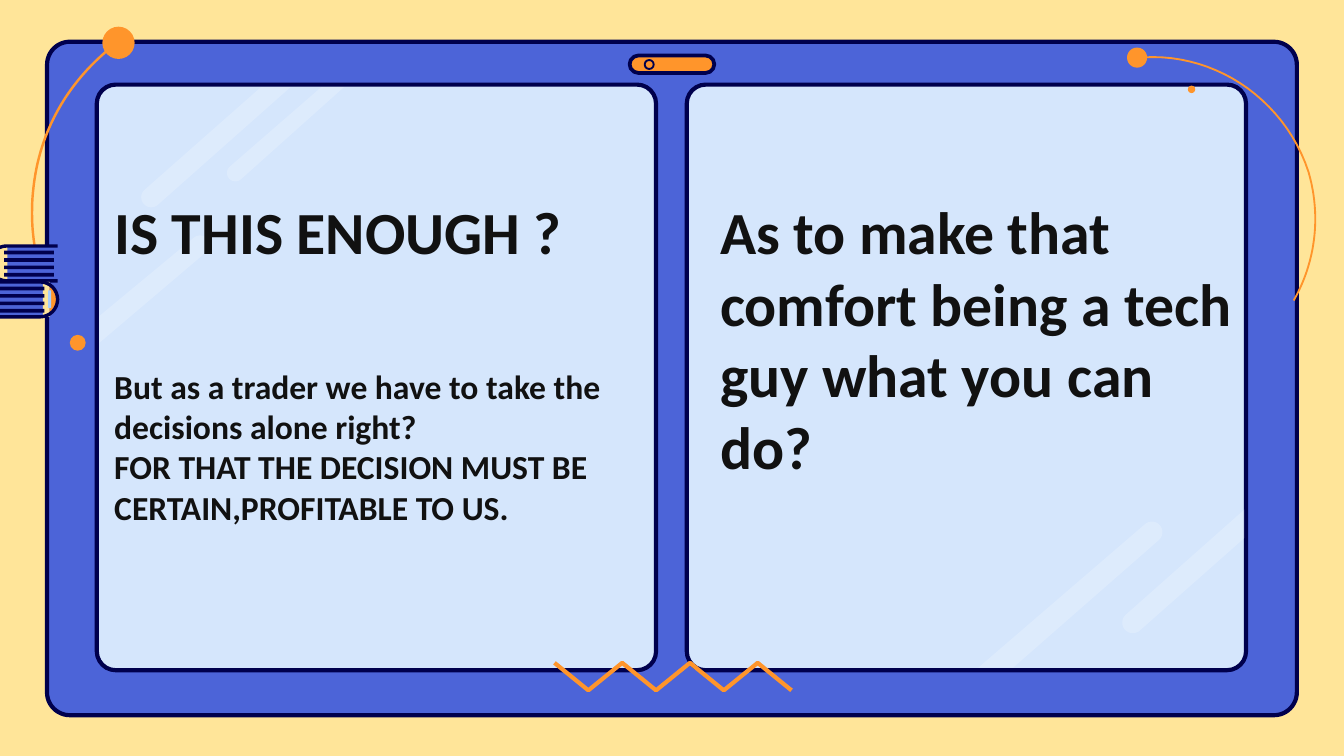
from dataclasses import dataclass
from math import atan2, cos, pi, sin
from typing import NamedTuple, Optional

from lxml.etree import SubElement
from pptx import Presentation
from pptx.dml.color import RGBColor as RGB
from pptx.enum.shapes import MSO_SHAPE as Shape
from pptx.enum.text import MSO_AUTO_SIZE as AutoSize
from pptx.oxml.ns import qn
from pptx.util import Cm, Pt


@dataclass(frozen=True)
class Theme:
    cream: str = "FFE599"
    blue: str = "4C64D8"
    navy: str = "00004D"
    ice: str = "D5E6FC"
    sky: str = "A8CFFF"
    orange: str = "FF952B"
    white: str = "FFFFFF"
    ink: str = "111111"
    font: str = "Calibri"
    title: int = 32
    body: int = 18


class Point(NamedTuple):
    x: float
    y: float


class Style(NamedTuple):
    fill: Optional[str] = None
    line: Optional[str] = None
    width: float = 0
    alpha: int = 100


class Dot(NamedTuple):
    centre: Point
    size: float
    style: Style


class Streak(NamedTuple):
    """A light reflection: a round end, and two corners on the panel edge."""
    tip: Point
    radius: float
    cut: tuple[Point, Point]


class Book(NamedTuple):
    spine: Point      # centre of the rounded end
    facing: int       # 1 when the round end points right, -1 when left
    block: float      # open end of the filled body
    cover: float      # open end of the cover outline
    pages: float      # left edge of the cream strip
    page_width: float
    bars: float       # left edge of the dark bars


class Line(NamedTuple):
    text: str
    size: int
    before: float = 0


T = Theme()
FRAME = Style(T.blue, T.navy, 2.25)
PANEL = Style(T.ice, T.navy, 2.25)
ORANGE = Style(T.orange)
GLASS = Style(T.white, alpha=20)

PANELS_X = (12.98, 1.83)
STREAKS = (
    Streak(Point(21.77, 10.06), 0.2, (Point(19.15, 12.62), Point(18.49, 12.62))),
    Streak(Point(21.41, 11.77), 0.2, (Point(23.52, 9.63), Point(23.52, 10.17))),
    Streak(Point(2.86, 3.73), 0.19, (Point(4.93, 1.65), Point(5.49, 1.65))),
    Streak(Point(4.45, 3.27), 0.16, (Point(6.07, 1.65), Point(6.5, 1.65))),
    Streak(Point(3.78, 4.63), 0.18, (Point(1.88, 6.48), Point(1.88, 5.97))),
)
DOTS = (
    Dot(Point(12.27, 1.22), 0.17, Style(None, T.navy, 1)),
    Dot(Point(2.24, 0.81), 0.61, ORANGE),
    Dot(Point(1.47, 6.48), 0.3, ORANGE),
    Dot(Point(21.49, 1.09), 0.38, ORANGE),
    Dot(Point(22.52, 1.69), 0.14, ORANGE),
)
# Each arc is two joined cubic curves: start, then two controls and an end twice
ARCS = (
    (1.3, ((0.99, 5.74), (0.66, 5.03), (0.53, 4.24), (0.65, 3.42),
           (0.81, 2.27), (1.46, 1.33), (2.34, 0.72))),
    (1, ((21.44, 1.1), (22.86, 0.93), (24.26, 1.82), (24.73, 3.25),
         (24.98, 4.11), (24.85, 4.98), (24.45, 5.68))),
)
BOOKS = (
    Book(Point(0.13, 4.98), -1, 1.02, 1.09, -0.03, 0.17, 0.08),
    Book(Point(0.76, 5.66), 1, -0.1, -0.2, 0.81, 0.13, -0.1),
)
BOOK_RADIUS = 0.33


def paint(s, style: Style) -> None:
    s.shadow.inherit = False
    if style.fill:
        s.fill.solid()
        s.fill.fore_color.rgb = RGB.from_string(style.fill)
        if style.alpha < 100:
            clr = s._element.spPr.find(f"{qn('a:solidFill')}/{qn('a:srgbClr')}")
            SubElement(clr, qn("a:alpha"), val=str(style.alpha * 1000))
    else:
        s.fill.background()
    if style.line:
        s.line.color.rgb = RGB.from_string(style.line)
        s.line.width = Pt(style.width)
    else:
        s.line.fill.background()


def preset(shapes, kind, x: float, y: float, w: float, h: float, style: Style,
           corner: Optional[float] = None) -> None:
    s = shapes.add_shape(kind, Cm(x), Cm(y), Cm(w), Cm(h))
    if corner is not None:
        s.adjustments[0] = corner
    paint(s, style)


def outline(shapes, points: list, style: Style, close: bool = True) -> None:
    start, *rest = [(Cm(x), Cm(y)) for x, y in points]
    fb = shapes.build_freeform(*start)
    fb.add_line_segments(rest, close=close)
    paint(fb.convert_to_shape(), style)


def half_circle(c: Point, r: float, start: float, sweep: float) -> list[Point]:
    angles = [start + sweep * i / 16 for i in range(17)]
    return [Point(c.x + r * cos(a), c.y + r * sin(a)) for a in angles]


def bezier(p0, p1, p2, p3, steps: int = 24) -> list[Point]:
    def at(t: float) -> Point:
        k = ((1 - t) ** 3, 3 * t * (1 - t) ** 2, 3 * t * t * (1 - t), t ** 3)
        return Point(*(sum(f * v for f, v in zip(k, vs)) for vs in zip(p0, p1, p2, p3)))
    return [at(i / steps) for i in range(steps + 1)]


def streak(shapes, st: Streak) -> None:
    a, b = st.cut
    heading = atan2(st.tip.y - (a.y + b.y) / 2, st.tip.x - (a.x + b.x) / 2)
    end = half_circle(st.tip, st.radius, heading + pi / 2, -pi)
    outline(shapes, [a, *end, b], GLASS)


def book(shapes, b: Book) -> None:
    top, r = b.spine.y - BOOK_RADIUS, BOOK_RADIUS
    end = half_circle(b.spine, r, -pi / 2, b.facing * pi)

    def profile(x: float) -> list[Point]:
        return [Point(x, top), *end, Point(x, top + 2 * r)]

    outline(shapes, profile(b.block), Style(T.blue))
    preset(shapes, Shape.RECTANGLE, b.pages, top, b.page_width, 2 * r, Style(T.cream))
    if b.facing > 0:
        edge = [(0.94, 5.36), (0.94, 5.97), (1.07, 5.79), (1.09, 5.61), (1.02, 5.44)]
        outline(shapes, edge, ORANGE)
        preset(shapes, Shape.RECTANGLE, 0.91, 5.49, 0.06, 0.33, Style(T.sky))
    for i in range(4):
        preset(shapes, Shape.RECTANGLE, b.bars, b.spine.y - 0.24 + 0.14 * i,
               0.94, 0.07, Style(T.navy))
    outline(shapes, profile(b.cover), Style(None, T.navy, 1.8), close=False)


def text(shapes, x: float, y: float, w: float, h: float, lines: list[Line]) -> None:
    tf = shapes.add_textbox(Cm(x), Cm(y), Cm(w), Cm(h)).text_frame
    tf.word_wrap, tf.auto_size = True, AutoSize.SHAPE_TO_FIT_TEXT
    for i, line in enumerate(lines):
        p = tf.add_paragraph() if i else tf.paragraphs[0]
        if line.before:
            p.space_before = Pt(line.before)
        r = p.add_run()
        r.text = line.text
        for key, value in {"name": T.font, "size": Pt(line.size), "bold": True}.items():
            setattr(r.font, key, value)
        r.font.color.rgb = RGB.from_string(T.ink)


def main() -> None:
    prs = Presentation()
    prs.slide_width, prs.slide_height = Cm(25.4), Cm(14.29)
    slide = prs.slides.add_slide(prs.slide_layouts[6])
    slide.background.fill.solid()
    slide.background.fill.fore_color.rgb = RGB.from_string(T.cream)
    shapes = slide.shapes

    # Tablet frame, two screens and their reflections
    preset(shapes, Shape.ROUNDED_RECTANGLE, 0.89, 0.79, 23.62, 12.73, FRAME, 0.034)
    for x in PANELS_X:
        preset(shapes, Shape.ROUNDED_RECTANGLE, x, 1.6, 10.57, 11.07, PANEL, 0.034)
    for st in STREAKS:
        streak(shapes, st)

    # Camera pill, dots, arcs and zigzag
    preset(shapes, Shape.ROUNDED_RECTANGLE, 11.9, 1.05, 1.6, 0.33,
           Style(T.orange, T.navy, 2), 0.5)
    for dot in DOTS:
        preset(shapes, Shape.OVAL, dot.centre.x - dot.size / 2,
               dot.centre.y - dot.size / 2, dot.size, dot.size, dot.style)
    for width, c in ARCS:
        outline(shapes, bezier(*c[:4]) + bezier(*c[3:])[1:],
                Style(None, T.orange, width), close=False)
    zigzag = [Point(10.48 + 0.64 * i, 13.05 if i % 2 else 12.53) for i in range(8)]
    outline(shapes, zigzag, Style(None, T.orange, 2.25), close=False)

    # Stacked books
    for b in BOOKS:
        book(shapes, b)

    # Wording
    text(shapes, 1.91, 3.56, 10.29, 6.58, [
        Line("IS THIS ENOUGH ?", T.title),
        Line("But as a trader we have to take the decisions alone right?", T.body, 53),
        Line("FOR THAT THE DECISION MUST BE CERTAIN,PROFITABLE TO US.", T.body),
    ])
    text(shapes, 13.36, 3.56, 10.29, 5.74, [
        Line("As to make that comfort being a tech guy what you can do?", T.title),
    ])
    prs.save("out.pptx")


if __name__ == "__main__":
    main()
